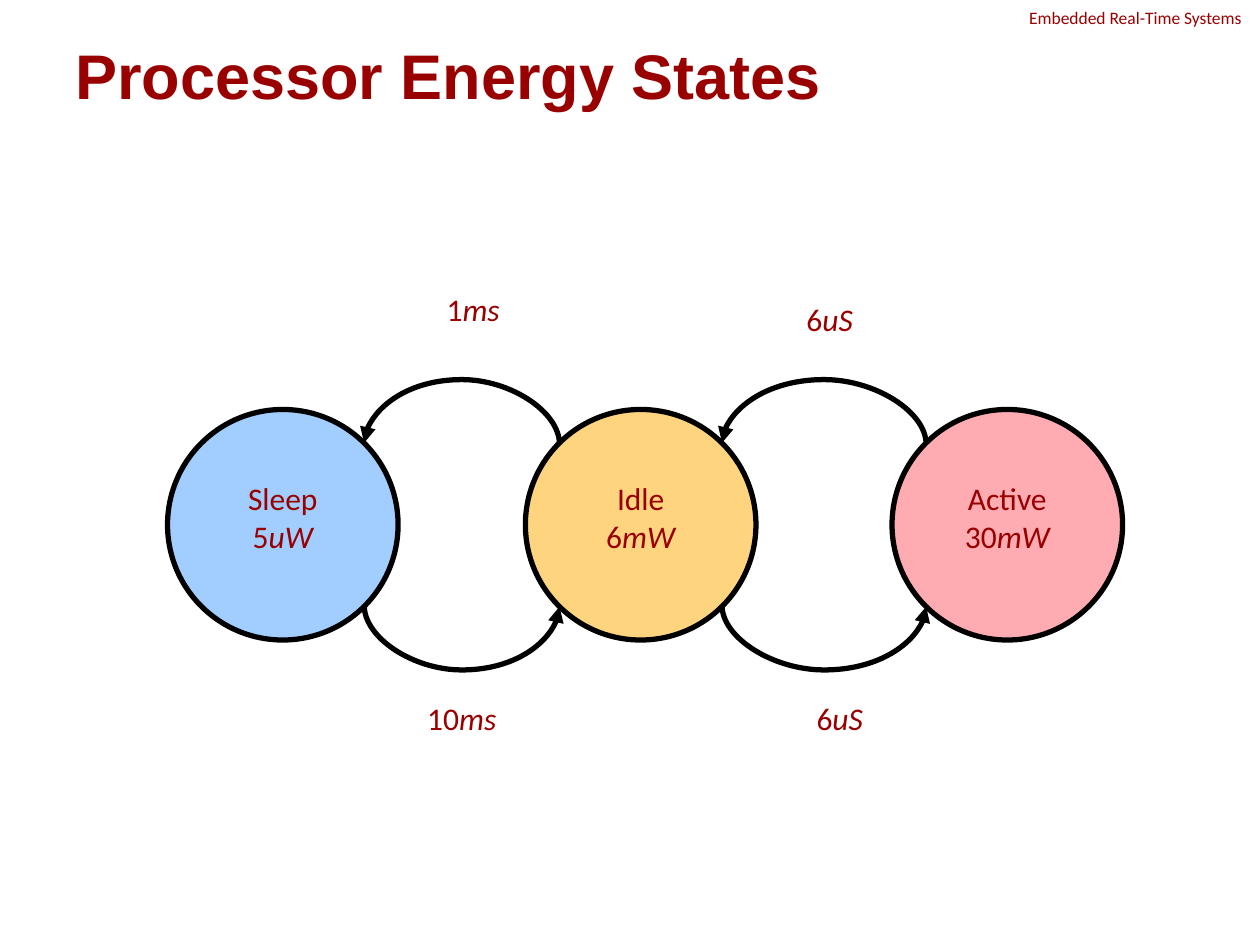
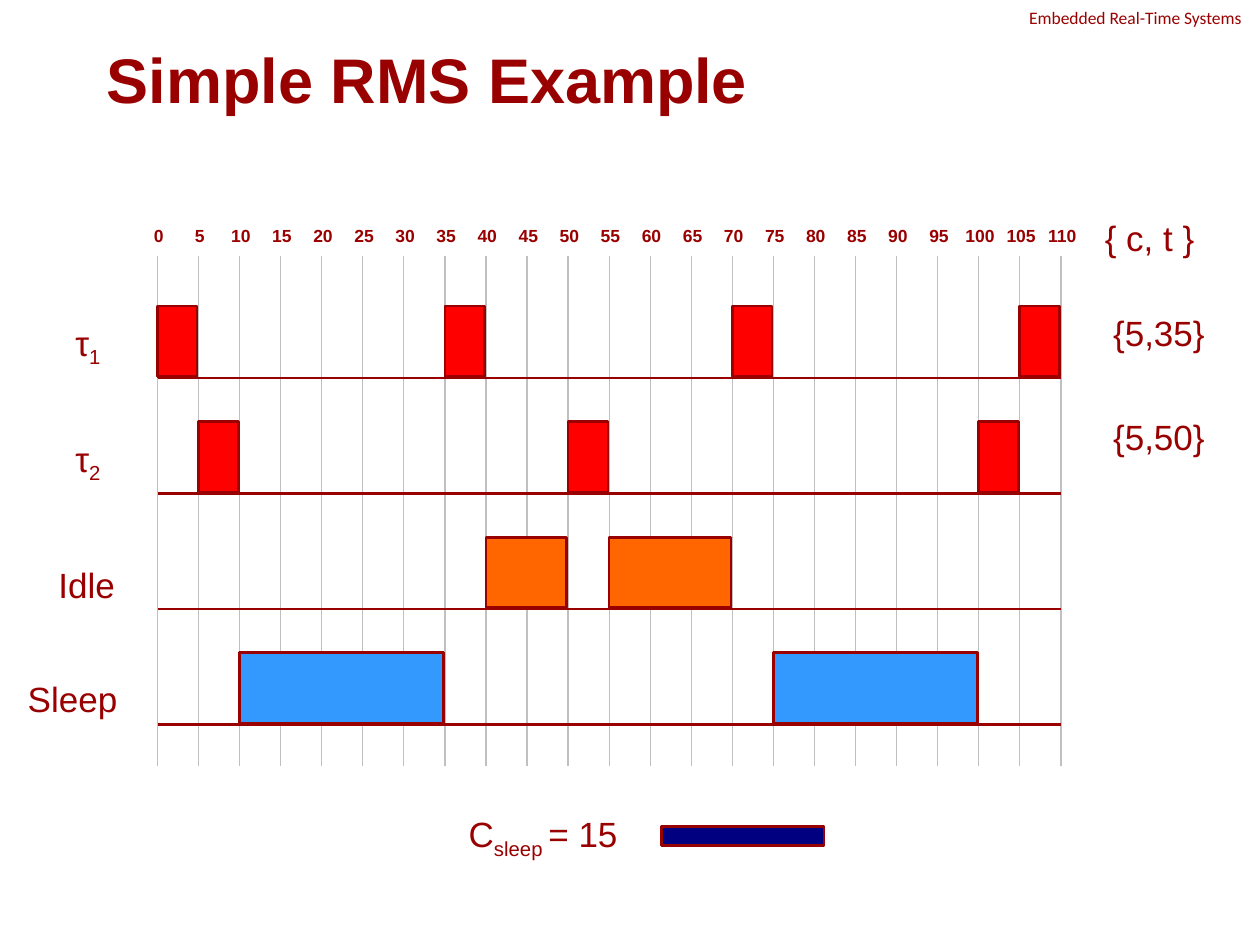
from lxml.etree import SubElement
from pptx import Presentation
from pptx.dml.color import RGBColor
from pptx.enum.shapes import MSO_CONNECTOR, MSO_SHAPE
from pptx.enum.text import MSO_ANCHOR, PP_ALIGN
from pptx.oxml.ns import qn
from pptx.util import Inches, Pt

COLORS = {
    "text": "990000", "outline": "000000", "grid": "C0C0C0",
    "sleep state": "A1CDFF", "idle state": "FFD47F", "active state": "FFABB2",
    "task": "FF0000", "idle": "FF6600", "sleep": "3399FF", "sleep cost": "000080",
}
HEADER = {"name": "Calibri", "size": Pt(10)}
TITLE = {"name": "Arial", "size": Pt(36), "bold": True}
STATE = {"name": "Calibri", "size": Pt(18)}
TICK = {"name": "Arial", "size": Pt(10), "bold": True}
LABEL = {"name": "Arial", "size": Pt(20)}
LEFT, CENTER, RIGHT = PP_ALIGN.LEFT, PP_ALIGN.CENTER, PP_ALIGN.RIGHT

DIAMETER = 1.83
STATE_TOP = 3.25
CORNER = 0.27  # from the circle's bounding box to its diagonal points
BULGE = 0.52

AXIS_LEFT, AXIS_RIGHT = 1.25, 8.42
TICK_STEP, LAST_TICK = 5, 110
UNIT = (AXIS_RIGHT - AXIS_LEFT) / LAST_TICK
FIRST_BASELINE, ROW_STEP = 3, 0.917


def color(key):
    return RGBColor.from_string(COLORS[key])


def add_text(slide, box, paragraphs, style, align=LEFT, anchor=MSO_ANCHOR.TOP):
    """Each paragraph is a list of (text, mark); the mark is "", "italic" or "sub"."""
    frame = slide.shapes.add_textbox(*map(Inches, box)).text_frame
    frame.word_wrap = True
    frame.vertical_anchor = anchor
    for index, pieces in enumerate(paragraphs):
        paragraph = frame.add_paragraph() if index else frame.paragraphs[0]
        paragraph.alignment = align
        for text, mark in pieces:
            run = paragraph.add_run()
            run.text = text
            for attribute, value in style.items():
                setattr(run.font, attribute, value)
            run.font.color.rgb = color("text")
            if mark == "italic":
                run.font.italic = True
            elif mark == "sub":
                run.font._element.set("baseline", "-25000")


def add_block(slide, kind, box, fill, outline, weight):
    block = slide.shapes.add_shape(kind, *map(Inches, box))
    block.shadow.inherit = False
    block.fill.solid()
    block.fill.fore_color.rgb = color(fill)
    block.line.color.rgb = color(outline)
    block.line.width = Pt(weight)


def add_line(slide, start, end, stroke, weight, kind=MSO_CONNECTOR.STRAIGHT):
    line = slide.shapes.add_connector(kind, *map(Inches, (*start, *end)))
    line.line.color.rgb = color(stroke)
    line.line.width = Pt(weight)
    SubElement(line._element.spPr, qn("a:effectLst"))
    return line


def add_transition(slide, left, right, y, upward):
    """Curved arrow: over the top to the left, or underneath to the right."""
    middle, half = (left + right) / 2, (right - left) / 2
    depth = 0.01
    inner, outer = middle - depth / 2, middle + depth / 2
    if upward:
        start, end = (inner, y + half), (outer, y - half)
    else:
        start, end = (outer, y - half), (inner, y + half)
    arrow = add_line(slide, start, end, "outline", 3, MSO_CONNECTOR.CURVE)
    arrow.rotation = 270
    adjustments = arrow._element.spPr.find(qn("a:prstGeom")).find(qn("a:avLst"))
    SubElement(adjustments, qn("a:gd"), name="adj1",
               fmla=f"val {round(BULGE / depth * 100000)}")
    SubElement(arrow.line._get_or_add_ln(), qn("a:tailEnd"), type="triangle")


def add_titled_slide(deck, title, box):
    slide = deck.slides.add_slide(deck.slide_layouts[6])
    add_text(slide, (8.07, 0.01, 2.27, 0.27),
             [[("Embedded Real-Time Systems", "")]], HEADER)
    add_text(slide, box, [[(title, "")]], TITLE, anchor=MSO_ANCHOR.MIDDLE)
    return slide


def build_energy_states(deck):
    slide = add_titled_slide(deck, "Processor Energy States", (0.5, 0.3, 9, 0.58))
    states = [
        (1.33, "Sleep", "5", "uW", "sleep state"),
        (4.17, "Idle", "6", "mW", "idle state"),
        (7.08, "Active", "30", "mW", "active state"),
    ]
    for left, name, power, unit, fill in states:
        add_block(slide, MSO_SHAPE.OVAL, (left, STATE_TOP, DIAMETER, DIAMETER),
                  fill, "outline", 3)
        add_text(slide, (left + 0.08, 3.75, 1.67, 0.91),
                 [[(name, "")], [(power, ""), (unit, "italic")]], STATE, CENTER)
    for (lower, *_), (higher, *_) in zip(states, states[1:]):
        ends = lower + DIAMETER - CORNER, higher + CORNER
        add_transition(slide, *ends, STATE_TOP + CORNER, True)
        add_transition(slide, *ends, STATE_TOP + DIAMETER - CORNER, False)
    delays = [(2.58, 5.5, "10", "ms"), (5.58, 5.5, "6", "uS"),
              (2.67, 2.25, "1", "ms"), (5.5, 2.33, "6", "uS")]
    for left, top, time, unit in delays:
        add_text(slide, (left, top, 2.17, 0.5),
                 [[(time, ""), (unit, "italic")]], STATE, CENTER)


def time_x(time):
    return AXIS_LEFT + time * UNIT


def add_time_grid(slide):
    for time in range(0, LAST_TICK + 1, TICK_STEP):
        x = time_x(time)
        add_line(slide, (x, 2.03), (x, 6.08), "grid", 0.75)
        add_text(slide, (x - 0.24, 1.74, 0.5, 0.27), [[(str(time), "")]], TICK, CENTER)


def add_schedule_row(slide, baseline, fill, spans):
    add_line(slide, (AXIS_LEFT, baseline), (AXIS_RIGHT, baseline), "text", 1.5)
    for start, end in spans:
        width = (end - start) * UNIT - 0.01
        add_block(slide, MSO_SHAPE.RECTANGLE,
                  (time_x(start), baseline - 0.57, width, 0.56), fill, "text", 1.5)


def build_rms_example(deck):
    slide = add_titled_slide(deck, "Simple RMS Example", (0.75, 0, 8.5, 1.25))
    add_time_grid(slide)
    rows = [
        ("task", [(0, 5), (35, 40), (70, 75), (105, 110)]),
        ("task", [(5, 10), (50, 55), (100, 105)]),
        ("idle", [(40, 50), (55, 70)]),
        ("sleep", [(10, 35), (75, 100)]),
    ]
    for index, (fill, spans) in enumerate(rows):
        add_schedule_row(slide, FIRST_BASELINE + index * ROW_STEP, fill, spans)
    labels = [
        (0.5, 2.5, 0.46, LEFT, [("τ", ""), ("1", "sub")]),
        (0.5, 3.42, 0.46, LEFT, [("τ", ""), ("2", "sub")]),
        (0.17, 4.42, 0.84, RIGHT, [("Idle", "")]),
        (0, 5.33, 1.03, RIGHT, [("Sleep", "")]),
        (8.67, 1.67, 1.08, LEFT, [("{ c, t }", "")]),
        (8.58, 2.42, 1.08, RIGHT, [("{5,35}", "")]),
        (8.58, 3.25, 1.08, RIGHT, [("{5,50}", "")]),
        (3.3, 6.4, 1.7, RIGHT, [("C", ""), ("sleep ", "sub"), ("= 15", "")]),
    ]
    for left, top, width, align, pieces in labels:
        add_text(slide, (left, top, width, 0.43), [pieces], LABEL, align)
    add_block(slide, MSO_SHAPE.RECTANGLE, (5.25, 6.56, 1.29, 0.15),
              "sleep cost", "text", 1.5)


def main():
    deck = Presentation()
    deck.slide_width, deck.slide_height = Inches(10), Inches(7.5)
    build_energy_states(deck)
    build_rms_example(deck)
    deck.save("out.pptx")


if __name__ == "__main__":
    main()
